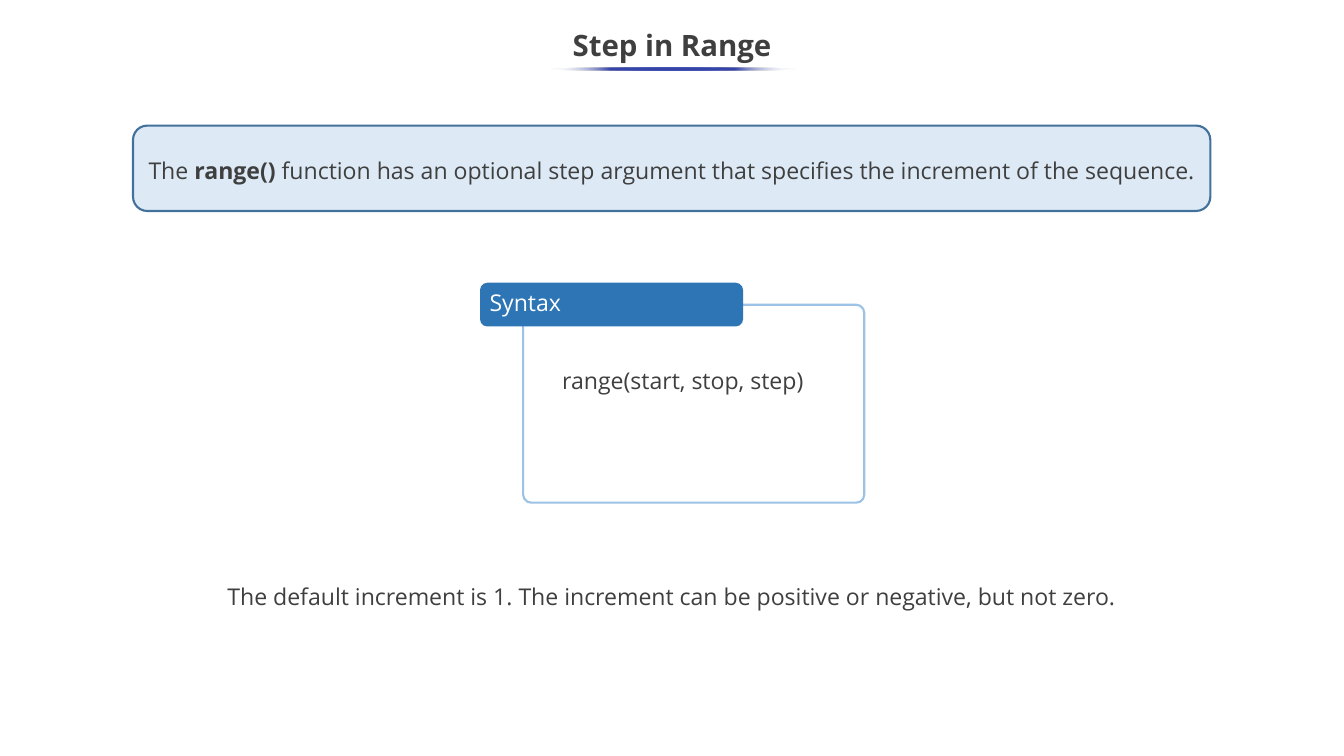
from lxml.etree import SubElement
from pptx import Presentation
from pptx.dml.color import RGBColor
from pptx.enum.shapes import MSO_SHAPE
from pptx.enum.text import MSO_ANCHOR, PP_ALIGN
from pptx.oxml.ns import qn
from pptx.util import Cm, Pt

FONT = "Open Sans"
DARK = RGBColor(0x3F, 0x3F, 0x3F)
WHITE = RGBColor(0xFF, 0xFF, 0xFF)
PALE_BLUE = RGBColor(0xDD, 0xEA, 0xF6)
STEEL_BLUE = RGBColor(0x42, 0x71, 0x9B)
LIGHT_BLUE = RGBColor(0x9C, 0xC2, 0xE5)
TAB_BLUE = RGBColor(0x2E, 0x75, 0xB5)
INDIGO = RGBColor(0x36, 0x45, 0xA9)


def add_box(shapes, kind, left, top, width, height, fill=None, line=None, corner=None):
    sp = shapes.add_shape(kind, Cm(left), Cm(top), Cm(width), Cm(height))
    sp.shadow.inherit = False
    if corner is not None:
        sp.adjustments[0] = corner
    if fill is None:
        sp.fill.background()
    else:
        sp.fill.solid()
        sp.fill.fore_color.rgb = fill
    if line is None:
        sp.line.fill.background()
    else:
        sp.line.color.rgb = line
        sp.line.width = Pt(2)
    return sp


def write(sp, runs, size=22, color=DARK, align=PP_ALIGN.LEFT, anchor=MSO_ANCHOR.TOP, spacing=1.0):
    """Fill a shape with one paragraph of (text, bold) runs."""
    tf = sp.text_frame
    tf.word_wrap = True
    tf.vertical_anchor = anchor
    p = tf.paragraphs[0]
    p.alignment = align
    p.line_spacing = spacing
    for text, bold in runs:
        r = p.add_run()
        r.text = text
        r.font.name = FONT
        r.font.size = Pt(size)
        r.font.bold = bold
        r.font.color.rgb = color


prs = Presentation()
prs.slide_width, prs.slide_height = Cm(45.16), Cm(25.4)
s = prs.slides.add_slide(prs.slide_layouts[6])

# Title
title = s.shapes.add_textbox(Cm(0), Cm(0.64), prs.slide_width, Cm(1.9))
write(title, [("Step in Range", True)], size=28, align=PP_ALIGN.CENTER,
      anchor=MSO_ANCHOR.MIDDLE, spacing=0.9)

# Definition
definition = add_box(s.shapes, MSO_SHAPE.ROUNDED_RECTANGLE, 4.47, 4.22, 36.2, 2.87,
                     PALE_BLUE, STEEL_BLUE, 0.167)
write(definition, [
    ("The ", False),
    ("range() ", True),
    ("function has an optional step argument that specifies the increment of the sequence.", False),
], align=PP_ALIGN.CENTER, anchor=MSO_ANCHOR.MIDDLE, spacing=1.15)

# Syntax panel
panel = s.shapes.add_group_shape().shapes
add_box(panel, MSO_SHAPE.ROUNDED_RECTANGLE, 17.58, 10.24, 11.46, 6.65, line=LIGHT_BLUE, corner=0.04)
tab = add_box(panel, MSO_SHAPE.ROUNDED_RECTANGLE, 16.13, 9.5, 8.84, 1.47, TAB_BLUE, corner=0.167)
write(tab, [("Syntax", False)], color=WHITE)
code = panel.add_textbox(Cm(18.64), Cm(12.19), Cm(9.35), Cm(1.19))
write(code, [("range(start, stop, step)", False)])

# Closing remark
remark = s.shapes.add_textbox(Cm(6.88), Cm(19.3), Cm(31.37), Cm(1.35))
write(remark, [
    ("The default increment is 1. The increment can be positive or negative, but not zero.", False),
], align=PP_ALIGN.CENTER, spacing=1.15)

# Title underline, fading out at both ends
underline = add_box(s.shapes, MSO_SHAPE.OVAL, 18.42, 2.26, 8.36, 0.1)
underline.fill.gradient()
underline.fill.gradient_angle = 180
stops = underline.fill._fill._gradFill.find(qn("a:gsLst"))
for stop in list(stops):
    stops.remove(stop)
for percent, color in [(0, WHITE), (25, INDIGO), (50, INDIGO), (75, INDIGO), (100, WHITE)]:
    stop = SubElement(stops, qn("a:gs"), pos=str(percent * 1000))
    clr = SubElement(stop, qn("a:srgbClr"), val=str(color))
    if color == WHITE:
        SubElement(clr, qn("a:alpha"), val="0")

prs.save("out.pptx")
